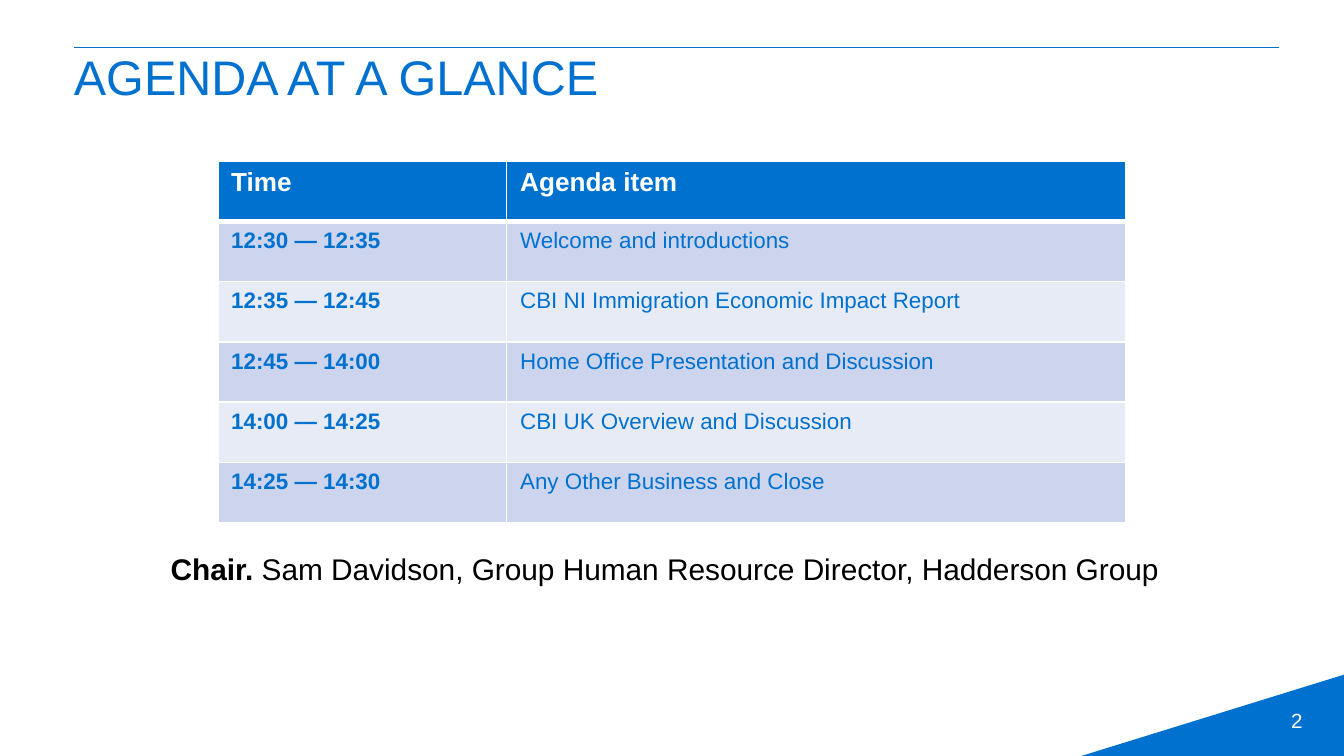
import dataclasses

import pptx
import pptx.dml.color
import pptx.enum.shapes
import pptx.enum.text
import pptx.oxml
import pptx.oxml.ns
import pptx.util
from pptx.util import Inches


@dataclasses.dataclass(frozen=True)
class Theme:
    font: str = "Arial"
    blue: str = "0071CF"
    white: str = "FFFFFF"
    black: str = "000000"
    bands: tuple = ("CCD5ED", "E7EBF6")
    title_size: int = 26
    chair_size: int = 16
    header_size: int = 14
    body_size: int = 12
    number_size: int = 11


THEME = Theme()
AGENDA = [
    ("Time", "Agenda item"),
    ("12:30 — 12:35", "Welcome and introductions"),
    ("12:35 — 12:45", "CBI NI Immigration Economic Impact Report"),
    ("12:45 — 14:00", "Home Office Presentation and Discussion"),
    ("14:00 — 14:25", "CBI UK Overview and Discussion"),
    ("14:25 — 14:30", "Any Other Business and Close"),
]
COLUMN_WIDTHS = (2.15, 4.61)
TABLE_HEIGHT = 2.69


def rgb(color):
    return pptx.dml.color.RGBColor.from_string(color)


def format_font(font, size, color, bold=False):
    font.name = THEME.font
    font.size = pptx.util.Pt(size)
    font.color.rgb = rgb(color)
    font.bold = bold


def set_margins(text_frame, left=0, top=0, right=0, bottom=0):
    text_frame.margin_left = Inches(left)
    text_frame.margin_top = Inches(top)
    text_frame.margin_right = Inches(right)
    text_frame.margin_bottom = Inches(bottom)


def add_text_box(slide, left, top, width, height):
    text_frame = slide.shapes.add_textbox(
        Inches(left), Inches(top), Inches(width), Inches(height)
    ).text_frame
    text_frame.word_wrap = True
    return text_frame


def add_rule(slide):
    rule = slide.shapes.add_connector(
        pptx.enum.shapes.MSO_CONNECTOR.STRAIGHT,
        Inches(0.55), Inches(0.35), Inches(9.52), Inches(0.35),
    )
    rule.line.color.rgb = rgb(THEME.blue)
    rule.line.width = pptx.util.Pt(0.25)
    effects = pptx.oxml.parse_xml(f"<a:effectLst {pptx.oxml.ns.nsdecls('a')}/>")
    rule._element.spPr.append(effects)


def add_corner(slide):
    corner = slide.shapes.add_shape(
        pptx.enum.shapes.MSO_SHAPE.ISOSCELES_TRIANGLE,
        Inches(8.03), Inches(5.02), Inches(1.97), Inches(0.61),
    )
    corner.adjustments[0] = 1
    corner.shadow.inherit = False
    corner.fill.solid()
    corner.fill.fore_color.rgb = rgb(THEME.blue)
    corner.line.fill.background()


def add_slide_number(slide):
    text_frame = add_text_box(slide, 7.46, 5.21, 2.33, 0.3)
    text_frame.vertical_anchor = pptx.enum.text.MSO_ANCHOR.MIDDLE
    text_frame.text = "2"
    paragraph = text_frame.paragraphs[0]
    paragraph.alignment = pptx.enum.text.PP_ALIGN.RIGHT
    format_font(paragraph.runs[0].font, THEME.number_size, THEME.white)


def set_title(slide):
    title = slide.shapes.title
    title.left, title.top = Inches(0.55), Inches(0.35)
    title.width, title.height = Inches(8.98), Inches(0.58)
    text_frame = title.text_frame
    set_margins(text_frame)
    text_frame.auto_size = pptx.enum.text.MSO_AUTO_SIZE.NONE
    text_frame.vertical_anchor = pptx.enum.text.MSO_ANCHOR.TOP
    text_frame.text = "AGENDA AT A GLANCE"
    paragraph = text_frame.paragraphs[0]
    paragraph.alignment = pptx.enum.text.PP_ALIGN.LEFT
    format_font(paragraph.runs[0].font, THEME.title_size, THEME.blue)


def set_borders(cell, top, bottom):
    properties = cell._tc.get_or_add_tcPr()
    widths = {"lnL": 1, "lnR": 1, "lnT": top, "lnB": bottom}
    for position, (side, width) in enumerate(widths.items()):
        border = pptx.oxml.parse_xml(
            f'<a:{side} {pptx.oxml.ns.nsdecls("a")} w="{pptx.util.Pt(width)}">'
            f'<a:solidFill><a:srgbClr val="{THEME.white}"/></a:solidFill></a:{side}>'
        )
        properties.insert(position, border)


def format_cell(cell, text, row, column):
    is_header = row == 0
    cell.text = text
    cell.fill.solid()
    fill = THEME.blue if is_header else THEME.bands[(row - 1) % 2]
    cell.fill.fore_color.rgb = rgb(fill)
    set_borders(cell, top=3 if row == 1 else 1, bottom=3 if is_header else 1)
    format_font(
        cell.text_frame.paragraphs[0].runs[0].font,
        THEME.header_size if is_header else THEME.body_size,
        THEME.white if is_header else THEME.blue,
        bold=is_header or column == 0,
    )


def add_agenda(slide):
    table = slide.shapes.add_table(
        len(AGENDA), len(COLUMN_WIDTHS), Inches(1.62), Inches(1.2),
        Inches(sum(COLUMN_WIDTHS)), Inches(TABLE_HEIGHT),
    ).table
    for column, width in zip(table.columns, COLUMN_WIDTHS):
        column.width = Inches(width)
    for row, texts in enumerate(AGENDA):
        for column, text in enumerate(texts):
            format_cell(table.cell(row, column), text, row, column)


def add_chair(slide):
    text_frame = add_text_box(slide, 1.27, 4.1, 7.46, 0.4)
    set_margins(text_frame, bottom=0.05)
    paragraph = text_frame.paragraphs[0]
    parts = [
        ("Chair. ", True),
        ("Sam Davidson, Group Human Resource Director, Hadderson Group", False),
    ]
    for text, bold in parts:
        run = paragraph.add_run()
        run.text = text
        format_font(run.font, THEME.chair_size, THEME.black, bold)


def main():
    presentation = pptx.Presentation()
    presentation.slide_width = Inches(10)
    presentation.slide_height = Inches(10) * 9 // 16
    slide = presentation.slides.add_slide(presentation.slide_layouts[5])
    add_rule(slide)
    add_corner(slide)
    add_slide_number(slide)
    set_title(slide)
    add_agenda(slide)
    add_chair(slide)
    presentation.save("out.pptx")


if __name__ == "__main__":
    main()
